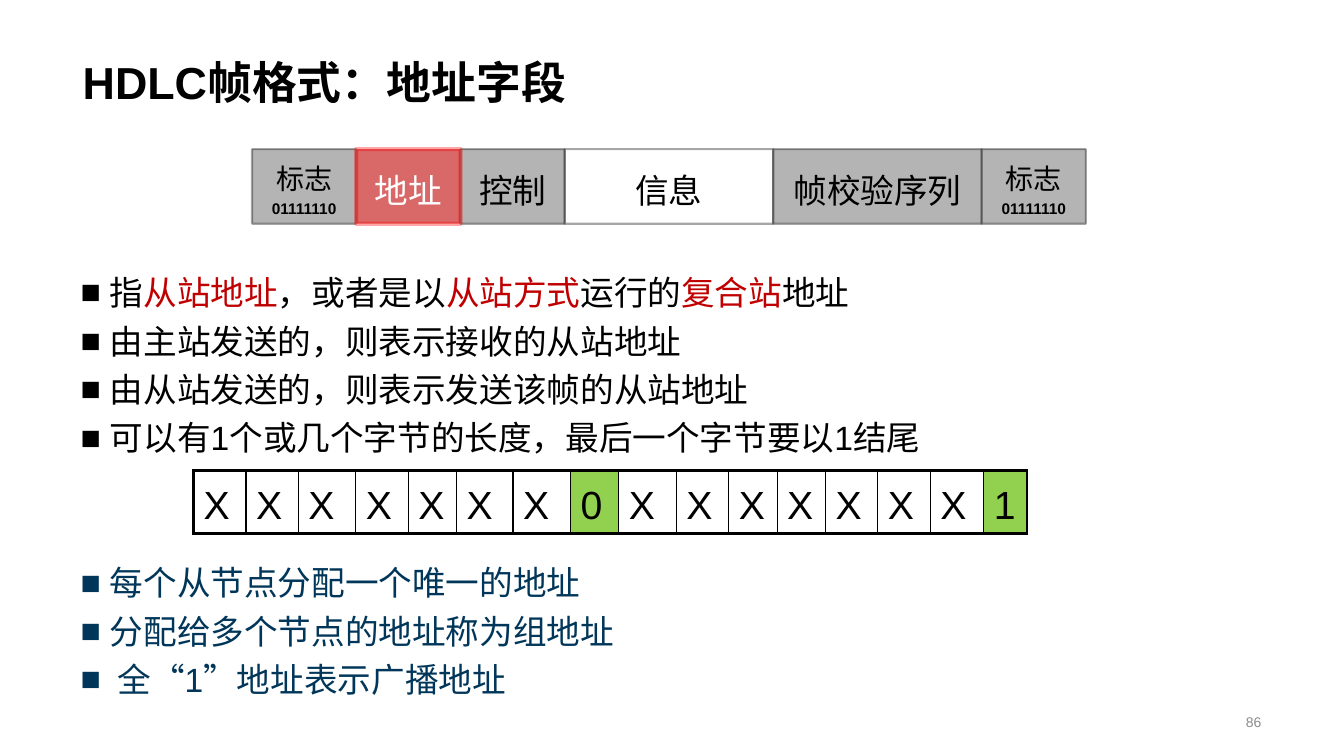
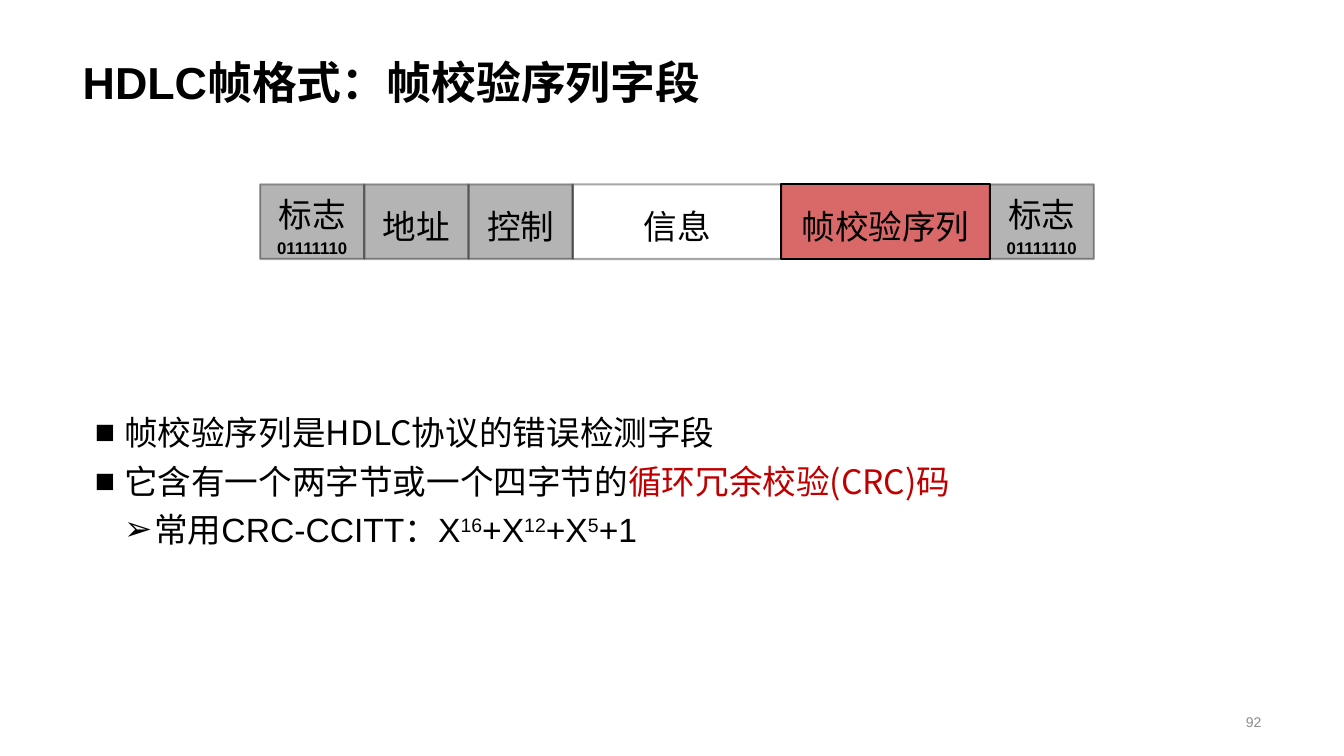
from lxml import etree
from pptx import Presentation
from pptx.dml.color import RGBColor
from pptx.enum.shapes import MSO_SHAPE
from pptx.enum.text import MSO_ANCHOR, MSO_AUTO_SIZE, PP_ALIGN
from pptx.oxml.ns import qn
from pptx.util import Inches, Pt

RECTANGLE = MSO_SHAPE.RECTANGLE
MIDDLE, BOTTOM = MSO_ANCHOR.MIDDLE, MSO_ANCHOR.BOTTOM
LEFT, CENTER, RIGHT = PP_ALIGN.LEFT, PP_ALIGN.CENTER, PP_ALIGN.RIGHT
NO_AUTOFIT = MSO_AUTO_SIZE.NONE

LATIN, CHINESE = "Arial", "Noto Sans CJK SC"
BLACK, WHITE, GRAY, PAGE_GRAY = "000000", "FFFFFF", "808080", "8C8C8C"
RED, BRIGHT_RED, NAVY, GREEN = "C00000", "FF0000", "003659", "92D050"

TITLE_BOX = (0.72, 0.15, 11.88, 0.98)
NUMBER_BOX = (11.73, 7.01, 0.88, 0.3)
TITLE_FORMAT = {"size": Pt(32), "bold": True}
NUMBER_FORMAT = {"size": Pt(10), "color": PAGE_GRAY}
LINE_SPACING = 1.2

FILL_ALPHA, LINE_ALPHA = 59, 34
FLAG, FLAG_BITS = "标志", "01111110"
FRAME_FIELDS = [(FLAG, 1), ("地址", 1), ("控制", 1), ("信息", 2), ("帧校验序列", 2), (FLAG, 1)]
FRAME_UNITS = sum(units for _, units in FRAME_FIELDS)
FRAME_SIZE = (8.27, 0.74)

BULLETS = [("■", 0.29, 0.29), ("➢", 0.59, 0.3)]
BYTE_BITS = "XXXXXXX0XXXXXXX1"
BIT_WIDTHS = [0.52, 0.52, 0.57, 0.52, 0.48, 0.56, 0.57, 0.48,
              0.57, 0.52, 0.48, 0.48, 0.52, 0.52, 0.53, 0.43]


def rgb(color):
    return RGBColor.from_string(color)


def inches(box):
    return [Inches(length) for length in box]


def place(shape, box):
    for name, length in zip(("left", "top", "width", "height"), inches(box)):
        setattr(shape, name, length)


def add_child(parent, tag, **attributes):
    return etree.SubElement(parent, qn(tag), attributes)


def paint(fill, color, alpha=100):
    """Solid fill with an opacity in percent."""
    fill.solid()
    fill.fore_color.rgb = rgb(color)
    if alpha < 100:
        tone = fill._xPr.find(f"{qn('a:solidFill')}/{qn('a:srgbClr')}")
        add_child(tone, "a:alpha", val=str(alpha * 1000))


def add_span(para, text, color=BLACK, raised=False, **formats):
    run = para.add_run()
    run.text = text
    run.font.color.rgb = rgb(color)
    for name, value in {"name": LATIN, **formats}.items():
        setattr(run.font, name, value)
    properties = run._r.get_or_add_rPr()
    add_child(properties, "a:ea", typeface=CHINESE)
    if raised:
        properties.set("baseline", "30000")


def add_bullet(para, level):
    mark, margin, hanging = BULLETS[level]
    para.level = level
    properties = para._p.get_or_add_pPr()
    properties.set("marL", str(Inches(margin)))
    properties.set("indent", str(-Inches(hanging)))
    add_child(properties, "a:buFont", typeface=LATIN)
    add_child(properties, "a:buChar", char=mark)


def add_page(deck, title, number):
    page = deck.slides.add_slide(deck.slide_layouts[1])
    para = page.shapes.title.text_frame.paragraphs[0]
    para.alignment = LEFT
    add_span(para, title, **TITLE_FORMAT)
    frame = page.shapes.add_textbox(*inches(NUMBER_BOX)).text_frame
    frame.word_wrap = True
    frame.vertical_anchor = MIDDLE
    para = frame.paragraphs[0]
    para.alignment = RIGHT
    add_span(para, str(number), **NUMBER_FORMAT)
    return page


def fill_body(page, box, items):
    """Write items of (level, points before, spans) as a bulleted list."""
    body = page.placeholders[1]
    place(body, box)
    frame = body.text_frame
    frame.auto_size = NO_AUTOFIT
    for index, (level, before, spans) in enumerate(items):
        para = frame.add_paragraph() if index else frame.paragraphs[0]
        add_bullet(para, level)
        para.space_before = Pt(before)
        para.line_spacing = LINE_SPACING
        for text, formats in spans:
            add_span(para, text, **{"size": Pt(24), **formats})


def add_field(page, box, label, flag_sizes, style):
    field = page.shapes.add_shape(RECTANGLE, *inches(box))
    field.shadow.inherit = False
    if style["fill"]:
        paint(field.fill, style["fill"], FILL_ALPHA)
    else:
        field.fill.background()
    paint(field.line.fill, style["line"], style["alpha"])
    field.line.width = Pt(style["weight"])
    frame = field.text_frame
    frame.word_wrap = True
    frame.vertical_anchor = MIDDLE
    para = frame.paragraphs[0]
    para.alignment = CENTER
    para.line_spacing = LINE_SPACING
    label_size, bits_size = flag_sizes
    if label == FLAG:
        add_span(para, label, size=Pt(label_size))
        add_span(para, FLAG_BITS, size=Pt(bits_size), bold=True)
    else:
        add_span(para, label, style["text"], size=Pt(24))


def add_frame_diagram(page, left, top, flag_sizes, focus, focus_style):
    """Draw the frame fields side by side, the focused one on top."""
    width, height = FRAME_SIZE
    unit = width / FRAME_UNITS
    plain = {"fill": GRAY, "line": BLACK, "alpha": LINE_ALPHA, "weight": 1.5, "text": BLACK}
    fields = []
    for label, units in FRAME_FIELDS:
        style = dict(plain)
        if label == focus:
            style.update(fill=RED, **focus_style)
        elif label == "信息":
            style["fill"] = None
        fields.append(((left, top, units * unit, height), label, style))
        left += units * unit
    for box, label, style in sorted(fields, key=lambda field: field[1] == focus):
        add_field(page, box, label, flag_sizes, style)


def add_borders(cell, weights):
    properties = cell._tc.get_or_add_tcPr()
    for side, weight in weights.items():
        line = add_child(properties, f"a:ln{side}", w=str(Pt(weight)))
        add_child(add_child(line, "a:solidFill"), "a:srgbClr", val=BLACK)


def add_bit_table(page, left, top, height):
    last = len(BYTE_BITS) - 1
    box = (left, top, sum(BIT_WIDTHS), height)
    table = page.shapes.add_table(1, len(BYTE_BITS), *inches(box)).table
    table.first_row = table.horz_banding = False
    for index, (bit, width) in enumerate(zip(BYTE_BITS, BIT_WIDTHS)):
        table.columns[index].width = Inches(width)
        cell = table.cell(0, index)
        cell.margin_bottom = Inches(0.01)
        add_borders(cell, {"L": 1 if index else 2.25, "R": 1 if index < last else 2.25,
                           "T": 2.25, "B": 2.25})
        if bit == "X":
            cell.fill.background()
        else:
            paint(cell.fill, GREEN)
        para = cell.text_frame.paragraphs[0]
        para.line_spacing = LINE_SPACING
        add_span(para, bit, size=Pt(28))


def build_address_page(deck):
    page = add_page(deck, "HDLC帧格式：地址字段", 86)
    red, navy = {"color": RED}, {"color": NAVY}
    fill_body(page, (0.7, 2.57, 11.88, 4.49), [
        (0, 0, [("指", {}), ("从站地址", red), ("，或者是以", {}), ("从站方式", red),
                ("运行的", {}), ("复合站", red), ("地址", {})]),
        (0, 0, [("由主站发送的，则表示接收的从站地址", {})]),
        (0, 0, [("由从站发送的，则表示发送该帧的从站地址", {})]),
        (0, 0, [("可以有1个或几个字节的长度，最后一个字节要以1结尾", {})]),
        (0, 69, [("每个从节点分配一个唯一的地址", navy)]),
        (0, 0, [("分配给多个节点的地址称为组地址", navy)]),
        (0, 0, [(" 全“1”地址表示广播地址", navy)]),
    ])
    add_bit_table(page, 1.92, 4.67, 0.61)
    add_frame_diagram(page, 2.5, 1.48, (20, 11), "地址",
                      {"line": BRIGHT_RED, "weight": 3, "text": WHITE})


def build_check_page(deck):
    page = add_page(deck, "HDLC帧格式：帧校验序列字段", 92)
    chinese, raised = {"name": CHINESE}, {"raised": True}
    fill_body(page, (0.84, 3.96, 11.88, 1.68), [
        (0, 0, [("帧校验序列是HDLC协议的错误检测字段", chinese)]),
        (0, 0, [("它含有一个两字节或一个四字节的", chinese),
                ("循环冗余校验(CRC)码", {"color": RED, **chinese})]),
        (1, 0, [("常用CRC-CCITT：X", {}), ("16", raised), ("+X", {}), ("12", raised),
                ("+X", {}), ("5", raised), ("+1", {})]),
    ])
    add_frame_diagram(page, 2.58, 1.83, (24, 12), "帧校验序列", {"alpha": 100})


def main():
    deck = Presentation()
    deck.slide_width, deck.slide_height = Inches(13.33), Inches(7.5)
    title = deck.slide_layouts[1].placeholders[0]
    place(title, TITLE_BOX)
    title.text_frame.vertical_anchor = BOTTOM
    title.text_frame.auto_size = NO_AUTOFIT
    build_address_page(deck)
    build_check_page(deck)
    deck.save("out.pptx")


if __name__ == "__main__":
    main()
